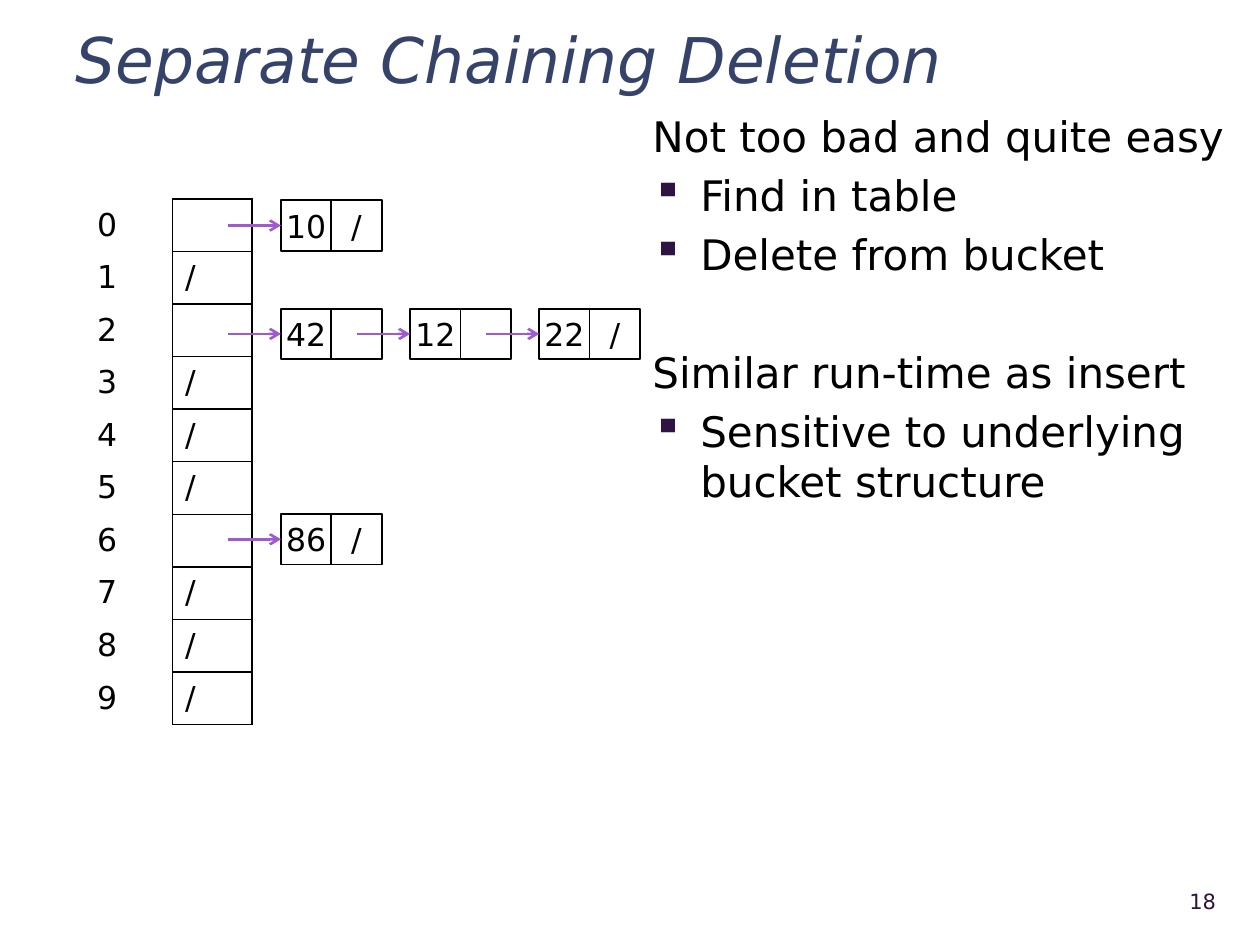
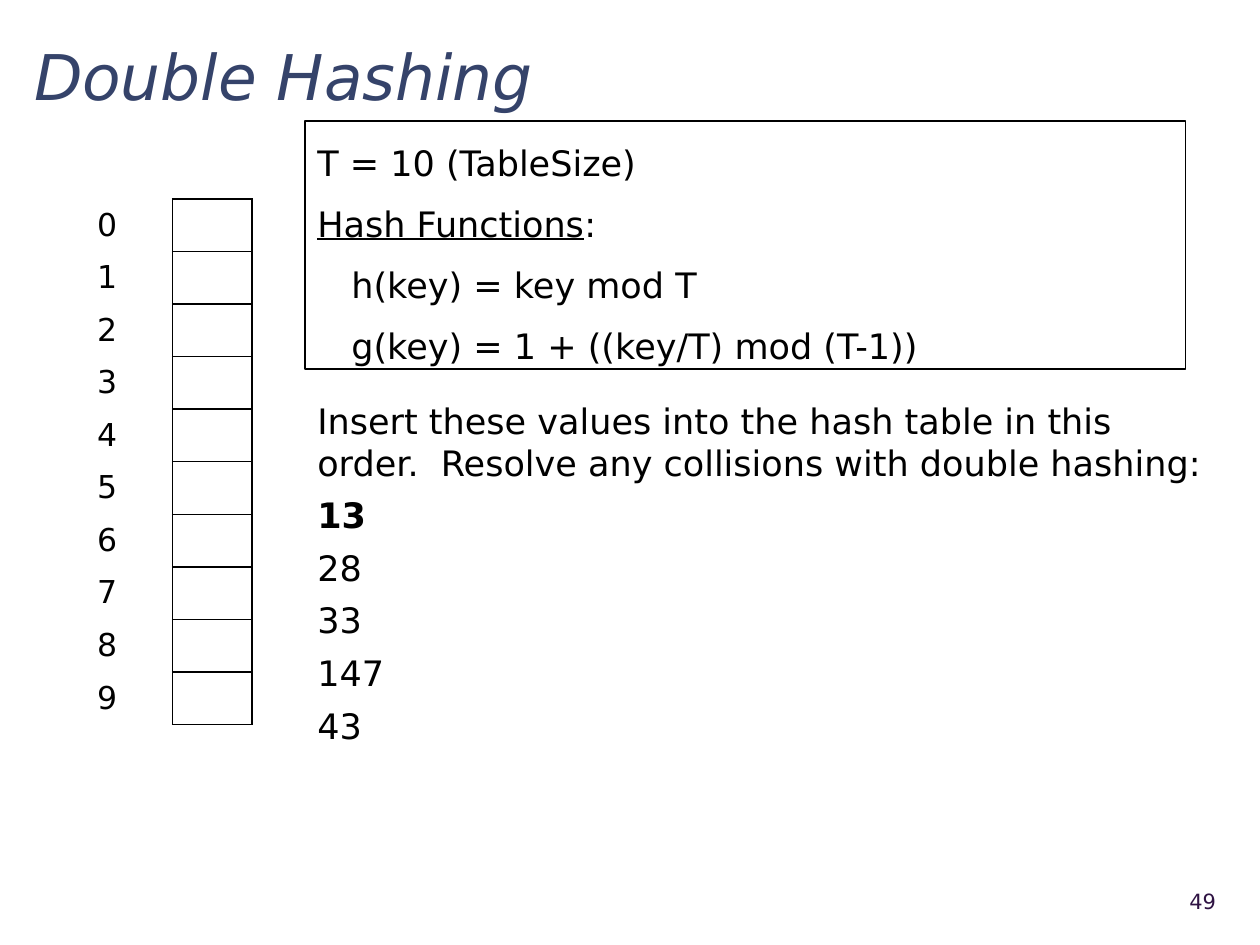
import dataclasses
from typing import Any, Optional

import lxml.etree
import pptx
import pptx.dml.color
import pptx.enum.shapes
import pptx.enum.text
import pptx.oxml.ns
import pptx.util

Pt = pptx.util.Pt
Anchor = pptx.enum.text.MSO_ANCHOR
Align = pptx.enum.text.PP_ALIGN
qn = pptx.oxml.ns.qn

# The page is a grid of square units, 100 columns by 75 rows.
COLUMNS, ROWS = 100, 75
UNIT = pptx.util.Inches(0.1)


@dataclasses.dataclass(frozen=True)
class Theme:
    face: str = "DejaVu Sans"
    title_color: str = "35436A"
    ink: str = "000000"
    accent: str = "2F1343"
    arrow: str = "9F5AD0"
    title_size: float = 36
    bullet_size: float = 24
    body_size: float = 20
    table_size: float = 18
    number_size: float = 12
    cell_line: float = 1
    frame_line: float = 0.75
    arrow_line: float = 1.5


@dataclasses.dataclass(frozen=True)
class Area:
    column: float
    row: float
    columns: float
    rows: float

    def lengths(self) -> tuple[int, ...]:
        return tuple(grid(n) for n in dataclasses.astuple(self))


@dataclasses.dataclass(frozen=True)
class Line:
    """One paragraph; indents are in grid columns, spaces in points."""
    text: str
    before: float = 0
    spacing: float = 1
    indent: float = 0
    bullet: bool = False
    bold: bool = False
    underlined: str = ""
    align: Any = Align.LEFT


@dataclasses.dataclass(frozen=True)
class Chain:
    """The keys of one bucket, linked along a centre row."""
    center: float
    keys: tuple[str, ...]


THEME = Theme()
NUMBER_AREA = Area(88.9, 69.5, 8.6, 4)
TABLE_LEFT, TABLE_TOP = 6.7, 15.8
LABEL_WIDTH, SLOT_WIDTH, SLOT_HEIGHT = 7, 6.3, 4.17
SLOTS = 10
NODE_SIDE, FIRST_NODE, NODE_PITCH, LINK_LENGTH = 4, 22.3, 10.25, 4.2
BULLET_INDENT = 3.8
BULLET_GAP, BODY_GAP = 4.8, 6
SECTION_GAP = 38.6

CHAINS = (
    Chain(17.9, ("10",)),
    Chain(26.5, ("42", "12", "22")),
    Chain(42.8, ("86",)),
)
DELETION_NOTES = [
    Line("Not too bad and quite easy"),
    Line("Find in table", BULLET_GAP, bullet=True),
    Line("Delete from bucket", BULLET_GAP, bullet=True),
    Line("Similar run-time as insert", SECTION_GAP),
    Line("Sensitive to underlying bucket structure", BULLET_GAP, bullet=True),
]
HASH_FUNCTIONS = [
    Line("T = 10 (TableSize)", spacing=1.2),
    Line(":", BODY_GAP, 1.2, underlined="Hash Functions"),
    Line("h(key) = key mod T", BODY_GAP, 1.2, indent=2.7),
    Line("g(key) = 1 + ((key/T) mod (T-1))", BODY_GAP, 1.2, indent=2.7),
]
INSERTIONS = [
    Line("Insert these values into the hash table in this order.  "
         "Resolve any collisions with double hashing:"),
    Line("13", BODY_GAP, bold=True),
    *(Line(key, BODY_GAP) for key in ("28", "33", "147", "43")),
]


def grid(units: float) -> int:
    return round(units * UNIT)


def rgb(value: str) -> pptx.dml.color.RGBColor:
    return pptx.dml.color.RGBColor.from_string(value)


def assign(target: Any, formats: dict[str, Any]) -> None:
    for name, value in formats.items():
        setattr(target, name, value)


def set_font(font: Any, size: float, color: str, **formats: Any) -> None:
    assign(font, {"name": THEME.face, "size": Pt(size), **formats})
    font.color.rgb = rgb(color)


def set_line(line: Any, color: str, width: float) -> None:
    line.color.rgb = rgb(color)
    line.width = Pt(width)


def add_bullet(para: Any) -> None:
    props = para._p.get_or_add_pPr()
    props.set("marL", str(grid(BULLET_INDENT)))
    props.set("indent", str(-grid(BULLET_INDENT)))
    color = lxml.etree.SubElement(props, qn("a:buClr"))
    lxml.etree.SubElement(color, qn("a:srgbClr"), val=THEME.accent)
    lxml.etree.SubElement(props, qn("a:buChar"), char="▪")


def write(frame: Any, lines: list[Line], size: float, color: str = THEME.ink,
          **formats: Any) -> None:
    """Fill a text frame with paragraphs; formats go to the frame."""
    assign(frame, {"word_wrap": True, "auto_size": pptx.enum.text.MSO_AUTO_SIZE.NONE,
                   **formats})
    for index, line in enumerate(lines):
        para = frame.add_paragraph() if index else frame.paragraphs[0]
        if line.bullet:
            add_bullet(para)
        elif line.indent:
            para._p.get_or_add_pPr().set("marL", str(grid(line.indent)))
        assign(para, {"alignment": line.align, "space_before": Pt(line.before),
                      "line_spacing": line.spacing})
        set_font(para.font, size, color)
        for text, underline in ((line.underlined, True), (line.text, False)):
            if text:
                span = para.add_run()
                span.text = text
                set_font(span.font, size, color, bold=line.bold, underline=underline)


def add_text(page: Any, area: Area, lines: list[Line], size: float,
             color: str = THEME.ink, **formats: Any) -> Any:
    box = page.shapes.add_textbox(*area.lengths())
    write(box.text_frame, lines, size, color, **formats)
    return box


def add_page(deck: Any, title: str, title_area: Area, number: int) -> Any:
    page = deck.slides.add_slide(deck.slide_layouts[5])
    heading = page.shapes.title
    assign(heading, dict(zip(("left", "top", "width", "height"), title_area.lengths())))
    write(heading.text_frame, [Line(title, spacing=1.1)], THEME.title_size,
          THEME.title_color, vertical_anchor=Anchor.MIDDLE)
    heading.text_frame.paragraphs[0].runs[0].font.italic = True
    add_text(page, NUMBER_AREA, [Line(str(number), align=Align.RIGHT)],
             THEME.number_size, THEME.accent, vertical_anchor=Anchor.MIDDLE)
    return page


def set_borders(cell: Any, drawn: str) -> None:
    """Draw the borders whose side letters are in drawn, and clear the others."""
    props = cell._tc.get_or_add_tcPr()
    for side in "LRTB":
        border = lxml.etree.SubElement(props, qn(f"a:ln{side}"),
                                       w=str(Pt(THEME.cell_line)))
        if side in drawn:
            fill = lxml.etree.SubElement(border, qn("a:solidFill"))
            lxml.etree.SubElement(fill, qn("a:srgbClr"), val=THEME.ink)
        else:
            lxml.etree.SubElement(border, qn("a:noFill"))


def add_hash_table(page: Any, empty_slots: tuple[int, ...] = ()) -> None:
    """Draw the numbered slots, with a slash in each of the empty ones."""
    area = Area(TABLE_LEFT, TABLE_TOP, LABEL_WIDTH + SLOT_WIDTH, SLOTS * SLOT_HEIGHT)
    table = page.shapes.add_table(SLOTS, 2, *area.lengths()).table
    assign(table, {"first_row": False, "horz_banding": False})
    for column, width in zip(table.columns, (LABEL_WIDTH, SLOT_WIDTH)):
        column.width = grid(width)
    for slot, row in enumerate(table.rows):
        row.height = grid(SLOT_HEIGHT)
        mark = "/" if slot in empty_slots else ""
        for cell, text, drawn in zip(row.cells, (str(slot), mark), ("R", "LRTB")):
            cell.text = text
            cell.vertical_anchor = Anchor.MIDDLE
            set_font(cell.text_frame.paragraphs[0].font, THEME.table_size, THEME.ink)
            set_borders(cell, drawn)
            cell.fill.background()


def add_square(page: Any, column: float, center: float, text: str) -> Any:
    area = Area(column, center - NODE_SIDE / 2, NODE_SIDE, NODE_SIDE)
    square = page.shapes.add_shape(pptx.enum.shapes.MSO_SHAPE.RECTANGLE, *area.lengths())
    square.shadow.inherit = False
    square.fill.background()
    set_line(square.line, THEME.ink, THEME.cell_line)
    margins = {f"margin_{side}": 0 for side in ("left", "right", "top", "bottom")}
    write(square.text_frame, [Line(text, align=Align.CENTER)], THEME.table_size,
          vertical_anchor=Anchor.MIDDLE, **margins)
    return square


def add_link(page: Any, column: float, center: float, target: Any) -> None:
    """Draw an arrow that ends at the left side of the target."""
    link = page.shapes.add_connector(
        pptx.enum.shapes.MSO_CONNECTOR.STRAIGHT, grid(column), grid(center),
        target.left, grid(center))
    link.end_connect(target, 1)
    set_line(link.line, THEME.arrow, THEME.arrow_line)
    lxml.etree.SubElement(link.line._get_or_add_ln(), qn("a:tailEnd"), type="arrow")
    lxml.etree.SubElement(link._element.spPr, qn("a:effectLst"))


def add_chain(page: Any, chain: Chain) -> None:
    last = len(chain.keys) - 1
    for index, key in enumerate(chain.keys):
        column = FIRST_NODE + index * NODE_PITCH
        node = add_square(page, column, chain.center, key)
        add_square(page, column + NODE_SIDE, chain.center, "/" if index == last else "")
        add_link(page, column - LINK_LENGTH, chain.center, node)


def build_deletion(deck: Any) -> None:
    page = add_page(deck, "Separate Chaining Deletion", Area(5, 1.7, 92.5, 5.3), 18)
    add_text(page, Area(50.8, 8.3, 47.7, 60), DELETION_NOTES, THEME.bullet_size)
    add_hash_table(page, empty_slots=(1, 3, 4, 5, 7, 8, 9))
    for chain in CHAINS:
        add_chain(page, chain)


def build_double_hashing(deck: Any) -> None:
    page = add_page(deck, "Double Hashing", Area(1.7, 1.9, 96.7, 7.5), 49)
    add_text(page, Area(24.2, 31.2, 72.8, 28.8), INSERTIONS, THEME.body_size)
    functions = add_text(page, Area(24.2, 9.6, 69.9, 19.7), HASH_FUNCTIONS,
                         THEME.body_size, margin_top=grid(1), margin_bottom=grid(1))
    set_line(functions.line, THEME.ink, THEME.frame_line)
    add_hash_table(page)


def main() -> None:
    deck = pptx.Presentation()
    assign(deck, {"slide_width": grid(COLUMNS), "slide_height": grid(ROWS)})
    build_deletion(deck)
    build_double_hashing(deck)
    deck.save("out.pptx")


if __name__ == "__main__":
    main()
